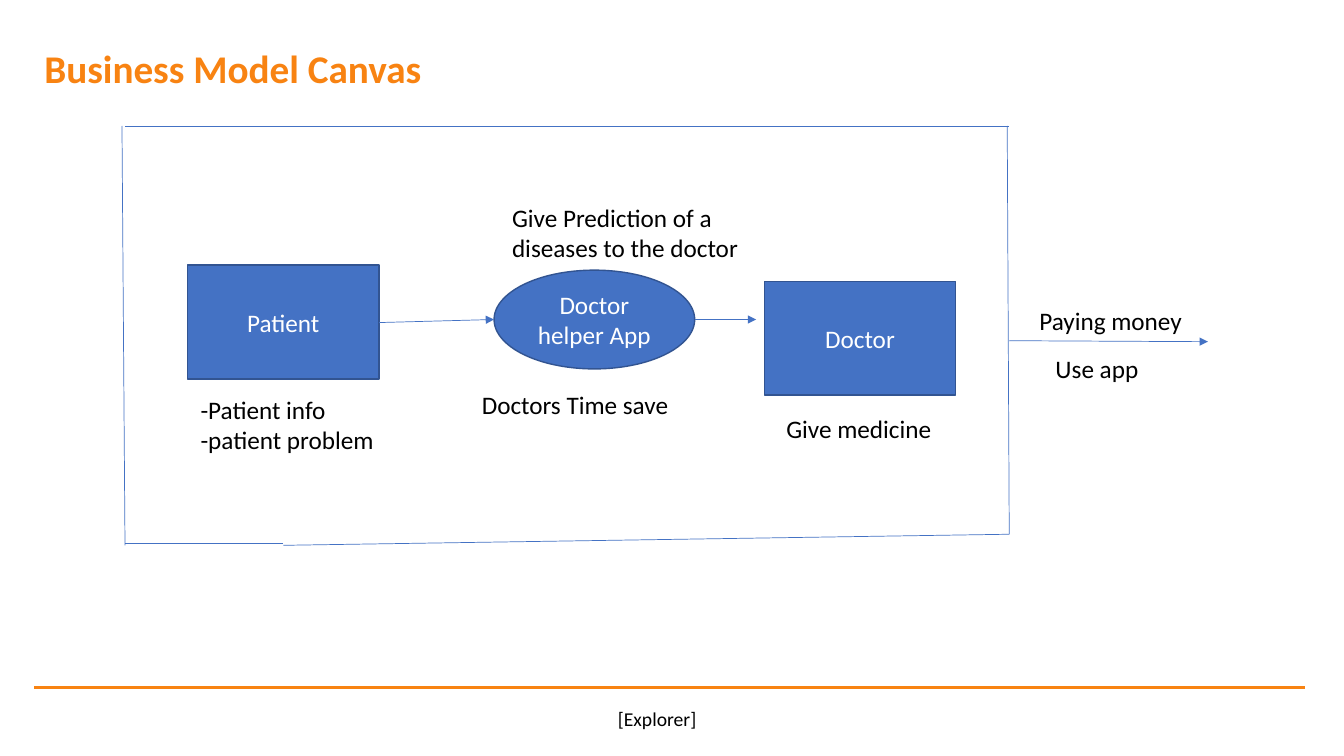
from pptx import Presentation
from pptx.dml.color import RGBColor
from pptx.enum.shapes import MSO_CONNECTOR as Connector, MSO_SHAPE as Preset
from pptx.enum.text import MSO_ANCHOR as Anchor, PP_ALIGN as Align
from pptx.oxml.ns import qn
from pptx.util import Inches, Pt
from lxml.etree import SubElement

ORANGE, BLUE, NAVY = "F88312", "4472C4", "325491"
BLACK, WHITE = "000000", "FFFFFF"


def rgb(code):
    return RGBColor.from_string(code)


def write(shape, text, size=18, color=BLACK, bold=False, align=Align.LEFT,
          anchor=Anchor.TOP, wrap=True):
    frame = shape.text_frame
    frame.word_wrap = wrap
    frame.vertical_anchor = anchor
    frame.margin_left = frame.margin_right = Inches(0.1)
    frame.margin_top = frame.margin_bottom = Inches(0.05)
    for index, line in enumerate(text.split("\n")):
        para = frame.paragraphs[0] if index == 0 else frame.add_paragraph()
        para.alignment = align
        span = para.add_run()
        span.text = line
        font = span.font
        font.name, font.size, font.bold = "Calibri", Pt(size), bold
        font.color.rgb = rgb(color)


def add_title(page, text, left, top, width, height):
    title = page.shapes.title
    title.left, title.top = Inches(left), Inches(top)
    title.width, title.height = Inches(width), Inches(height)
    write(title, text, size=28, color=ORANGE, bold=True, wrap=False)


def add_label(page, text, left, top, width, height, size=18):
    box = page.shapes.add_textbox(Inches(left), Inches(top), Inches(width), Inches(height))
    write(box, text, size=size)


def add_node(page, preset, text, left, top, width, height):
    node = page.shapes.add_shape(preset, Inches(left), Inches(top), Inches(width), Inches(height))
    node.shadow.inherit = False
    node.fill.solid()
    node.fill.fore_color.rgb = rgb(BLUE)
    node.line.color.rgb = rgb(NAVY)
    node.line.width = Pt(1)
    write(node, text, color=WHITE, align=Align.CENTER, anchor=Anchor.MIDDLE)


def add_line(page, start, end, color=BLUE, width=0.5, arrow=False):
    ends = [Inches(value) for value in (*start, *end)]
    line = page.shapes.add_connector(Connector.STRAIGHT, *ends)
    line.line.color.rgb = rgb(color)
    line.line.width = Pt(width)
    if arrow:
        SubElement(line.line._get_or_add_ln(), qn("a:tailEnd"), type="triangle")
    SubElement(line._element.spPr, qn("a:effectLst"))


def main():
    deck = Presentation()
    deck.slide_width, deck.slide_height = Inches(13.33), Inches(7.5)
    page = deck.slides.add_slide(deck.slide_layouts[5])

    add_title(page, "Business Model Canvas", 0.34, 0.39, 3.98, 0.57)
    add_line(page, (0.34, 6.82), (12.94, 6.82), color=ORANGE, width=2.25)
    add_label(page, "[Explorer]", 6.03, 6.96, 1.44, 0.34, size=14)

    for preset, text, *place in (
        (Preset.OVAL, "Doctor helper App", 4.9, 2.68, 1.99, 0.98),
        (Preset.RECTANGLE, "Patient", 1.86, 2.63, 1.9, 1.13),
        (Preset.RECTANGLE, "Doctor", 7.58, 2.79, 1.9, 1.13),
    ):
        add_node(page, preset, text, *place)

    for text, *place in (
        ("Doctors Time save", 4.68, 3.81, 2.21, 0.4),
        ("-Patient info\n-patient problem", 1.89, 3.86, 2.08, 1.01),
        ("Give medicine", 7.7, 4.05, 1.78, 0.71),
        ("Paying money", 10.21, 2.98, 1.99, 0.4),
        ("Give Prediction of a diseases to the doctor", 4.98, 1.96, 2.49, 0.71),
        ("Use app", 10.37, 3.46, 1.59, 0.4),
    ):
        add_label(page, text, *place)

    for start, end in (
        ((1.24, 1.25), (2.81, 1.25)),
        ((2.81, 1.25), (10.01, 1.25)),
        ((9.99, 1.25), (10.01, 5.3)),
        ((2.81, 5.41), (10.01, 5.3)),
        ((1.24, 5.39), (2.81, 5.39)),
        ((1.21, 1.25), (1.24, 5.41)),
    ):
        add_line(page, start, end)

    for start, end in (
        ((3.76, 3.2), (4.9, 3.17)),
        ((6.89, 3.17), (7.5, 3.17)),
        ((10.01, 3.38), (11.98, 3.39)),
    ):
        add_line(page, start, end, arrow=True)

    deck.save("out.pptx")


if __name__ == "__main__":
    main()
